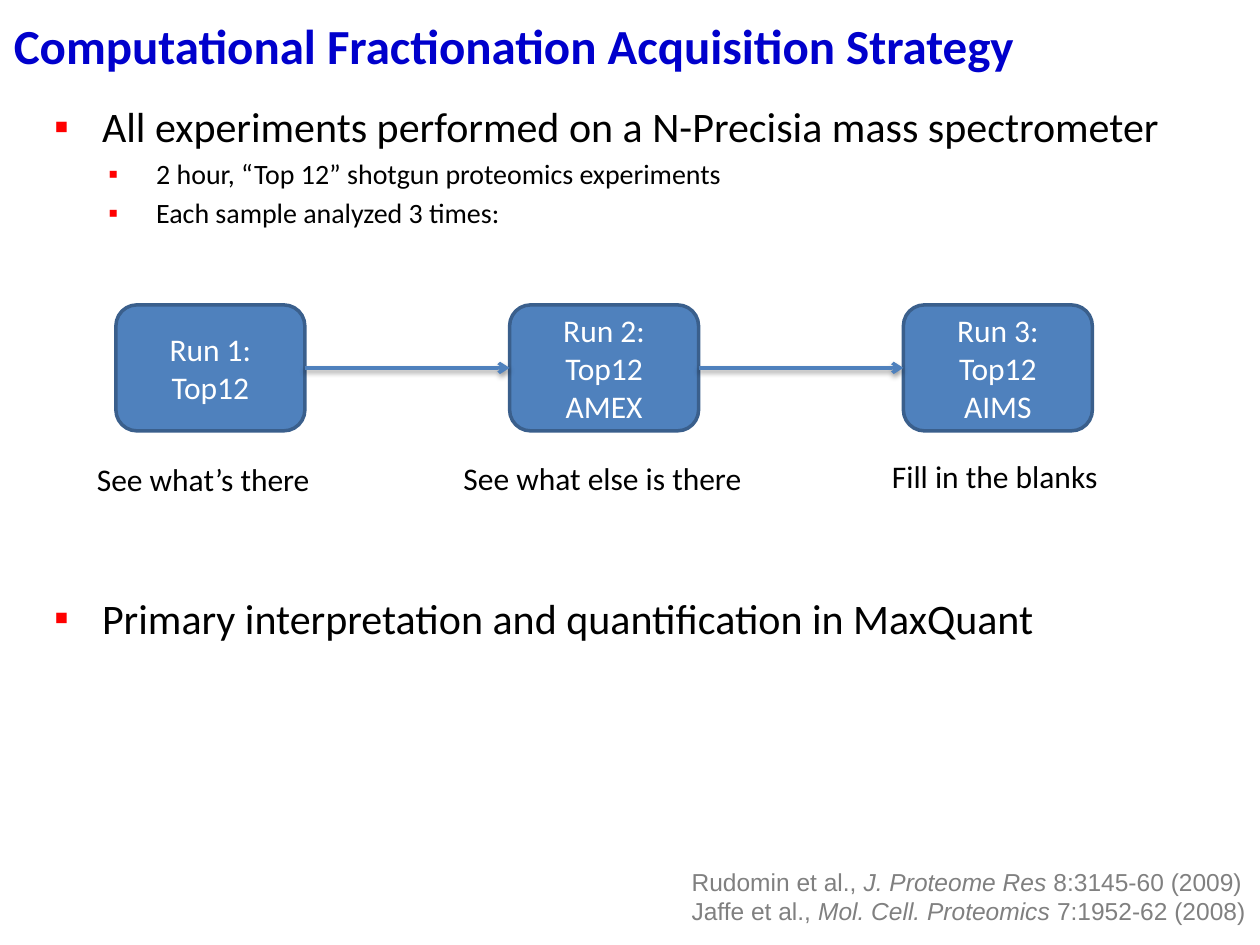
from lxml.etree import SubElement
from pptx import Presentation
from pptx.dml.color import RGBColor
from pptx.enum.shapes import MSO_CONNECTOR as Connector, MSO_SHAPE as Shape
from pptx.enum.text import MSO_ANCHOR as Anchor, MSO_AUTO_SIZE as AutoSize, PP_ALIGN as Align
from pptx.oxml import parse_xml
from pptx.oxml.ns import nsdecls, qn
from pptx.util import Inches, Pt

BLUE = "4F81BD"
TITLE = {"name": "Calibri", "size": Pt(28), "bold": True}
TOPIC = {"name": "Calibri", "size": Pt(24)}
DETAIL = {"name": "Calibri", "size": Pt(16)}
LABEL = {"name": "Calibri", "size": Pt(18)}
CITATION = {"name": "Arial", "size": Pt(14)}

RUN_LEFT, RUN_TOP, RUN_WIDTH, RUN_HEIGHT = 0.92, 2.42, 1.5, 1
RUN_PITCH = (7.17 - RUN_LEFT) / 2
RUNS = ["Run 1: Top12", "Run 2: Top12 AMEX", "Run 3: Top12 AIMS"]
CAPTIONS = [
    ("See what’s there", 0.67, 3.6, 1.91),
    ("See what else is there", 3.58, 3.59, 2.44),
    ("Fill in the blanks", 6.98, 3.58, 1.85),
]
METHODS = [
    ("All experiments performed on a N-Precisia mass spectrometer", 0),
    ("2 hour, “Top 12” shotgun proteomics experiments", 1),
    ("Each sample analyzed 3 times:", 1),
]
ANALYSIS = [("Primary interpretation and quantification in MaxQuant", 0)]
REFERENCES = [
    ("Rudomin et al., ", "J. Proteome Res", " 8:3145-60 (2009)"),
    ("Jaffe et al., ", "Mol. Cell. Proteomics ", "7:1952-62 (2008)"),
]


def color(value):
    """Turn a hex string into a colour."""
    return RGBColor.from_string(value)


def apply_format(target, values):
    """Set each attribute of the target from a dict."""
    for name, value in values.items():
        setattr(target, name, value)


def add_span(para, text, style, shade="000000", italic=False):
    """Add a formatted run to a paragraph."""
    span = para.add_run()
    span.text = text
    apply_format(span.font, {**style, "italic": italic})
    span.font.color.rgb = color(shade)


def place(box, left, top, width, height):
    """Move and size a shape, in inches."""
    values = {"left": left, "top": top, "width": width, "height": height}
    apply_format(box, {name: Inches(value) for name, value in values.items()})


def add_bullet(para, level):
    """Give a paragraph a red square bullet and a hanging indent."""
    props = para._p.get_or_add_pPr()
    props.set("marL", str(Inches(0.81 if level else 0.38)))
    props.set("indent", str(Inches(-0.38)))
    SubElement(SubElement(props, qn("a:buClr")), qn("a:srgbClr"), val="FF0000")
    SubElement(props, qn("a:buFont"), typeface="Arial")
    SubElement(props, qn("a:buChar"), char="▪")


def fill_title(box, text):
    """Place and format the slide title."""
    place(box, 0.01, -0.03, 9.75, 0.78)
    apply_format(box.text_frame, {"auto_size": AutoSize.NONE, "vertical_anchor": Anchor.MIDDLE})
    para = box.text_frame.paragraphs[0]
    para.alignment = Align.LEFT
    add_span(para, text, TITLE, "0000CC")


def fill_list(box, items, top, height):
    """Place a body placeholder and fill it with bulleted items."""
    place(box, 0.33, top, 9.42, height)
    frame = box.text_frame
    frame.auto_size = AutoSize.NONE
    for index, (text, level) in enumerate(items):
        para = frame.add_paragraph() if index else frame.paragraphs[0]
        add_bullet(para, level)
        apply_format(para, {"level": level, "space_before": Pt(3.2 if index else 0)})
        add_span(para, text, DETAIL if level else TOPIC)


def add_run_box(page, text, left):
    """Add one rounded box for an acquisition run."""
    box = page.shapes.add_shape(Shape.FLOWCHART_ALTERNATE_PROCESS, Inches(left),
                                Inches(RUN_TOP), Inches(RUN_WIDTH), Inches(RUN_HEIGHT))
    box.shadow.inherit = False
    box.fill.solid()
    box.fill.fore_color.rgb = color(BLUE)
    box.line.color.rgb = color("3A5F8C")
    box.line.width = Pt(2)
    apply_format(box.text_frame, {"word_wrap": True, "vertical_anchor": Anchor.MIDDLE})
    para = box.text_frame.paragraphs[0]
    para.alignment = Align.CENTER
    add_span(para, text, LABEL, "FFFFFF")
    return box


def add_arrow(page, start, end):
    """Join two boxes with a softly shadowed arrow."""
    arrow = page.shapes.add_connector(Connector.STRAIGHT, 0, 0, 0, 0)
    arrow.begin_connect(start, 3)
    arrow.end_connect(end, 1)
    arrow.line.color.rgb = color(BLUE)
    arrow.line.width = Pt(2)
    SubElement(arrow.line._get_or_add_ln(), qn("a:tailEnd"), type="arrow")
    arrow._element.spPr.append(parse_xml(
        f'<a:effectLst {nsdecls("a")}><a:outerShdw blurRad="{Pt(3.1)}" dist="{Pt(1.6)}" '
        'dir="5400000" rotWithShape="0"><a:srgbClr val="000000"><a:alpha val="38000"/>'
        '</a:srgbClr></a:outerShdw></a:effectLst>'))


def add_text(page, left, top, width, height):
    """Add an unwrapped text box and return its frame."""
    box = page.shapes.add_textbox(Inches(left), Inches(top), Inches(width), Inches(height))
    apply_format(box.text_frame, {"word_wrap": False, "auto_size": AutoSize.SHAPE_TO_FIT_TEXT})
    return box.text_frame


def add_references(page):
    """Add the citations with italic journal names."""
    frame = add_text(page, 5.39, 6.83, 4.61, 0.57)
    for index, (authors, journal, issue) in enumerate(REFERENCES):
        para = frame.add_paragraph() if index else frame.paragraphs[0]
        add_span(para, authors, CITATION, "808080")
        add_span(para, journal, CITATION, "808080", italic=True)
        add_span(para, issue, CITATION, "808080")


def main():
    """Build the slide and save the deck."""
    deck = Presentation()
    apply_format(deck, {"slide_width": Inches(10), "slide_height": Inches(7.5)})
    page = deck.slides.add_slide(deck.slide_layouts.get_by_name("Two Content"))
    fill_title(page.shapes.title, "Computational Fractionation Acquisition Strategy")
    fill_list(page.placeholders[1], METHODS, 0.75, 1.33)
    fill_list(page.placeholders[2], ANALYSIS, 4.65, 0.52)
    boxes = [add_run_box(page, text, RUN_LEFT + index * RUN_PITCH)
             for index, text in enumerate(RUNS)]
    for start, end in zip(boxes, boxes[1:]):
        add_arrow(page, start, end)
    for text, left, top, width in CAPTIONS:
        add_span(add_text(page, left, top, width, 0.4).paragraphs[0], text, LABEL)
    add_references(page)
    deck.save("out.pptx")


if __name__ == "__main__":
    main()
